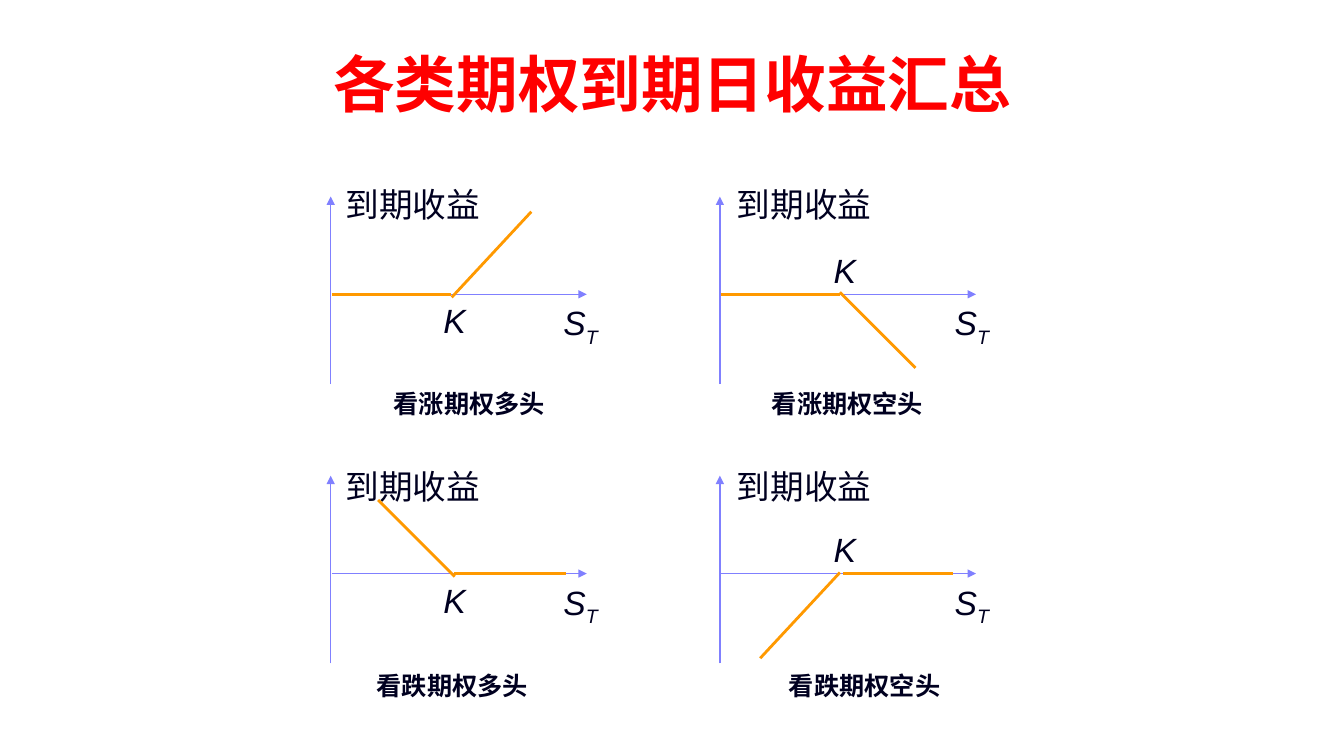
from pptx import Presentation
from pptx.dml.color import RGBColor
from pptx.enum.shapes import MSO_CONNECTOR as Conn
from pptx.enum.text import MSO_ANCHOR as Anchor, MSO_AUTO_SIZE as Fit, PP_ALIGN as Align
from pptx.oxml.ns import qn
from pptx.util import Pt
from lxml.etree import SubElement as Sub

RED = RGBColor(0xFF, 0x00, 0x00)
INK = RGBColor(0x00, 0x00, 0x20)
AXIS = RGBColor(0x80, 0x80, 0xFF)
GAIN = RGBColor(0xFF, 0x99, 0x00)


def emu(px):
    return px * 9144  # 100 px to the inch


class Deck:
    font = "Arial"
    wide, high = 1333, 750

    def __init__(self):
        self.prs = Presentation()
        self.prs.slide_width = emu(self.wide)
        self.prs.slide_height = emu(self.high)
        self.slide = self.prs.slides.add_slide(self.prs.slide_layouts[5])
        self.group = None

    def begin(self):
        self.group = self.slide.shapes.add_group_shape()

    def run(self, para, text, size, color=INK, font=None, bold=False,
            italic=False, base=0):
        run = para.add_run()
        run.text = text
        face = run.font
        face.name, face.size = font or self.font, Pt(size)
        face.bold, face.italic = bold, italic
        face.color.rgb = color
        if base:
            run._r.get_or_add_rPr().set("baseline", str(base * 1000))

    def title(self, text, left, top, width, height):
        box = self.slide.shapes.title
        box.left, box.top = emu(left), emu(top)
        box.width, box.height = emu(width), emu(height)
        frame = box.text_frame
        frame.vertical_anchor = Anchor.MIDDLE
        para = frame.paragraphs[0]
        para.alignment = Align.CENTER
        self.run(para, text, 44, RED, "Times New Roman", bold=True)

    def text(self, left, top, width, height, wrap=False, align=Align.LEFT):
        box = self.group.shapes.add_textbox(
            emu(left), emu(top), emu(width), emu(height))
        frame = box.text_frame
        frame.word_wrap = wrap
        frame.auto_size = Fit.SHAPE_TO_FIT_TEXT
        para = frame.paragraphs[0]
        para.alignment = align
        return para

    def line(self, start, end, color, width, arrow=False):
        line = self.group.shapes.add_connector(
            Conn.STRAIGHT, *map(emu, start + end))
        line.line.color.rgb = color
        line.line.width = Pt(width)
        props = line._element.spPr
        if arrow:
            Sub(props.get_or_add_ln(), qn("a:tailEnd"), type="triangle")
        Sub(props, qn("a:effectLst"))

    def chart(self, x, y, name, shift, drop, mark, pays):
        """Payoff chart with its origin at x, y; the other places are offsets."""
        self.begin()
        col, row = int(x > 500), int(y > 400)

        # Axes
        self.line((x, y + 89), (x, y - 97), AXIS, 1, arrow=True)
        self.line((x + 1, y), (x + 254, y), AXIS, 1, arrow=True)

        # Axis and strike labels
        self.run(self.text(x + 5 + 2 * col, y - 114 + 2 * row, 155, 50),
                 "到期收益", 24)
        para = self.text(x + 221 + 2 * col, y + 3, 56, 50)
        self.run(para, "S", 24, italic=True)
        self.run(para, "T", 24, italic=True, base=-25)
        self.run(self.text(x + 102 + col, y + mark, 42, 50),
                 "K", 24, italic=True)

        # Payoff
        for x1, y1, x2, y2 in pays:
            self.line((x + x1, y + y1), (x + x2, y + y2), GAIN, 2)

        # Caption
        para = self.text(x + shift, y + drop, 175, 40, True, Align.CENTER)
        self.run(para, name, 18, bold=True)


def main():
    deck = Deck()
    deck.title("各类期权到期日收益汇总", 242, 42, 850, 81)

    left, right, top, low = 328, 714, 292, 569
    flat = (1, 0, 119, 0)
    deck.chart(left, top, "看涨期权多头", 50, 88, 1,
               [flat, (120, 3, 199, -82)])
    deck.chart(right, top, "看涨期权空头", 39, 88, -49,
               [flat, (119, -2, 194, 73)])
    deck.chart(left, low, "看跌期权多头", 33, 91, 1,
               [(122, 0, 233, 0), (47, -73, 123, 3)])
    deck.chart(right, low, "看跌期权空头", 56, 91, -49,
               [(40, 84, 119, -1), (122, 0, 231, 0)])

    deck.prs.save("out.pptx")


if __name__ == "__main__":
    main()
